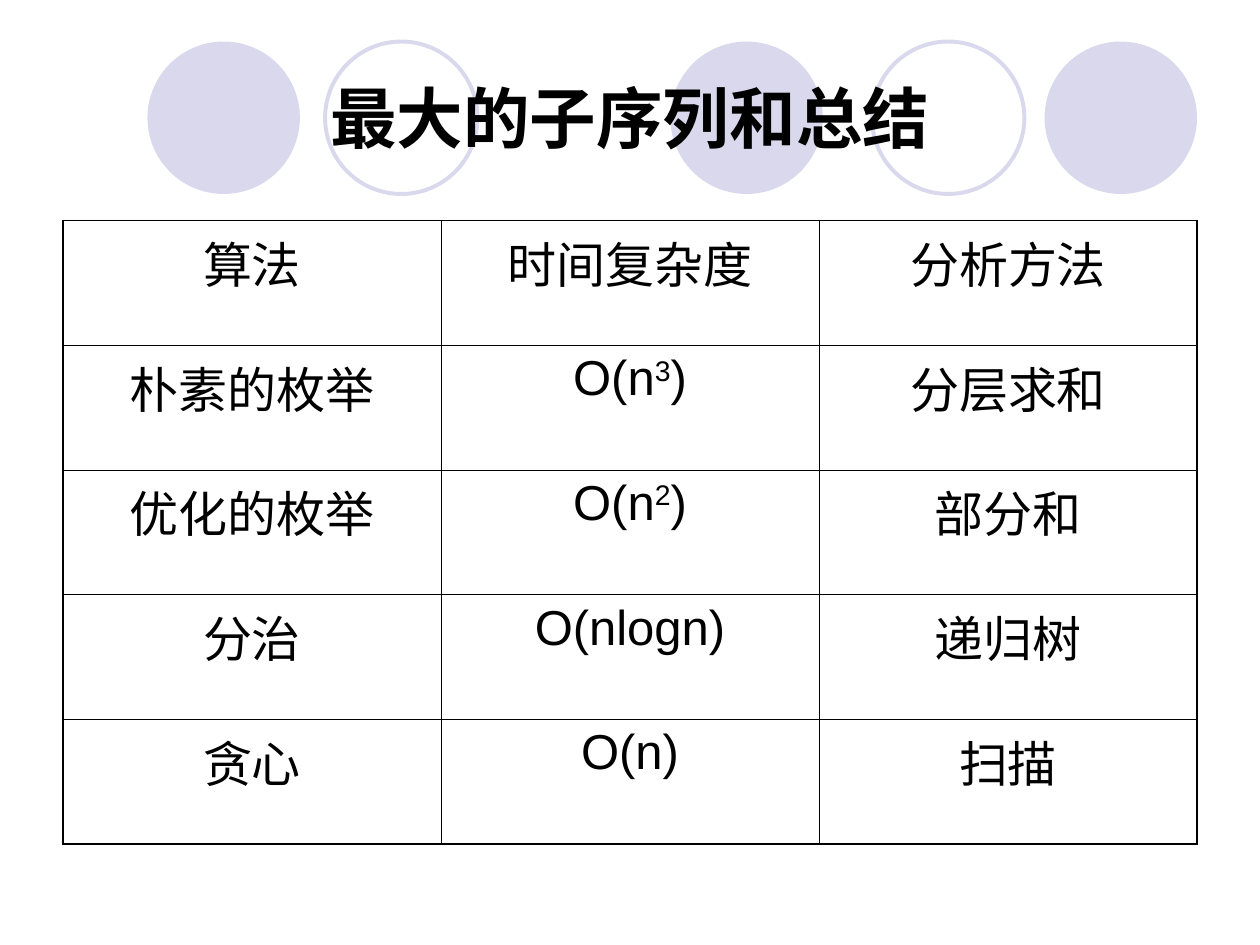
from pptx import Presentation
from pptx.dml.color import RGBColor
from pptx.enum.shapes import MSO_SHAPE as Shape
from pptx.enum.text import MSO_ANCHOR as Anchor, PP_ALIGN as Align
from pptx.oxml import parse_xml
from pptx.oxml.ns import nsdecls
from pptx.util import Inches, Pt

BLACK = RGBColor(0, 0, 0)
LILAC = RGBColor(0xD9, 0xD8, 0xEC)
COLS, ROWS = 20, 15
THIN, THICK = 0.45, 1.08

DISCS = [(10.64, True), (16.58, True), (2.34, True), (13.84, False), (5.16, False)]
DATA = [
    ["算法", "时间复杂度", "分析方法"],
    ["朴素的枚举", "O(n^3^)", "分层求和"],
    ["优化的枚举", "O(n^2^)", "部分和"],
    ["分治", "O(nlogn)", "递归树"],
    ["贪心", "O(n)", "扫描"],
]


class Deck:
    font = "Arial"

    def __init__(self):
        self.prs = Presentation()
        self.prs.slide_width = Inches(10)
        self.prs.slide_height = Inches(7.5)
        self.slide = self.prs.slides.add_slide(self.prs.slide_layouts[6])

    def box(self, col, row, wide, high):
        x, y = self.prs.slide_width / COLS, self.prs.slide_height / ROWS
        return [round(n) for n in (col * x, row * y, wide * x, high * y)]

    def label(self, par, text, size, bold=False):
        par.alignment = Align.CENTER
        for i, part in enumerate(text.split("^")):
            run = par.add_run()
            run.text = part
            if i % 2:
                run._r.get_or_add_rPr().set("baseline", "30000")
        font = par.font
        font.name, font.size, font.bold = self.font, Pt(size), bold
        font.color.rgb = BLACK

    def disc(self, col, row, size, solid):
        disc = self.slide.shapes.add_shape(Shape.OVAL, *self.box(col, row, size, size))
        disc.shadow.inherit = False
        if solid:
            disc.fill.solid()
            disc.fill.fore_color.rgb = LILAC
            disc.line.fill.background()
        else:
            disc.fill.background()
            disc.line.color.rgb = LILAC
            disc.line.width = Pt(2.25)

    def title(self, text, *area):
        frame = self.slide.shapes.add_textbox(*self.box(*area)).text_frame
        frame.word_wrap = True
        frame.vertical_anchor = Anchor.MIDDLE
        self.label(frame.paragraphs[0], text, 38, True)

    def edge(self, cell, side, width):
        cell._tc.get_or_add_tcPr().append(parse_xml(
            f'<a:ln{side} {nsdecls("a")} w="{Pt(width)}"><a:solidFill>'
            f'<a:srgbClr val="{BLACK}"/></a:solidFill></a:ln{side}>'))

    def table(self, data, *area):
        high, wide = len(data), len(data[0])
        grid = self.slide.shapes.add_table(high, wide, *self.box(*area)).table
        for r, line in enumerate(data):
            for c, text in enumerate(line):
                cell = grid.cell(r, c)
                outer = {"L": c == 0, "R": c == wide - 1,
                         "T": r == 0, "B": r == high - 1}
                for side, rim in outer.items():
                    self.edge(cell, side, THICK if rim else THIN)
                cell.fill.background()
                par = cell.text_frame.paragraphs[0]
                par.space_before = Pt(7)
                self.label(par, text, 28)

    def save(self):
        self.prs.save("out.pptx")


def main():
    deck = Deck()
    for col, solid in DISCS:
        deck.disc(col, 0.66, 2.42, solid)
    deck.title("最大的子序列和总结", 1, 0.6, 18, 2.5)
    deck.table(DATA, 1, 3.5, 18, 9.9)
    deck.save()


if __name__ == "__main__":
    main()
